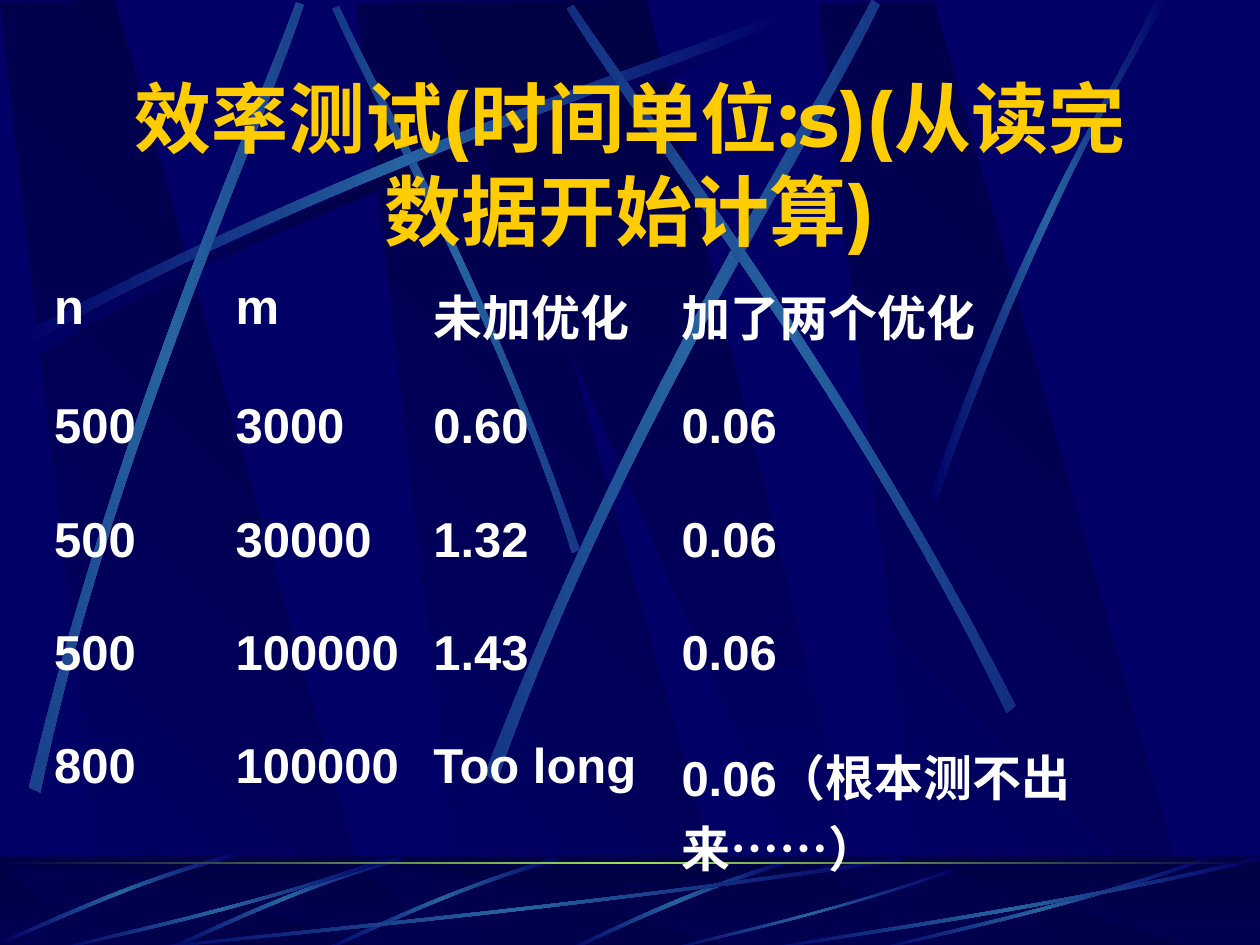
from math import cos, radians, sin

from lxml import etree
from pptx import Presentation
from pptx.dml.color import RGBColor
from pptx.enum.shapes import MSO_SHAPE
from pptx.enum.text import MSO_ANCHOR, PP_ALIGN
from pptx.oxml.ns import qn
from pptx.util import Cm, Pt

RECTANGLE = MSO_SHAPE.RECTANGLE
MIDDLE = MSO_ANCHOR.MIDDLE
CENTER = PP_ALIGN.CENTER
LEFT = PP_ALIGN.LEFT
NO_GRID_STYLE = "{2D5ABB26-0587-4C30-8999-92F81FD0307C}"
NAVY, DARK, BLUE, GREEN = "000066", "000044", "2663A0", "9CE157"
SHADE = (DARK, NAVY)
GLOW = (NAVY, BLUE, NAVY)
SHADOW_GLOW = (NAVY, DARK, NAVY)

BAND = [(0.86, 7.5), (3.02, 7.52), (0.91, 0), (0, 0.02)]
WEDGE = [(3.33, 0.01), (6.58, 7.51), (6.94, 7.51), (5.13, 0)]
FLOOR_BAND = [(0.86, 7.54), (3.02, 7.54), (0.91, 6.88), (0, 6.88)]
FLOOR_WEDGE = [(3.33, 6.88), (6.58, 7.54), (6.94, 7.54), (5.13, 6.88)]
BAND_OFFSETS = ((2.83, 0.01), (0, 0), (6.5, 0.01))

LONG_RAY = [(0.14, 2.67), (2.78, 1.25), (5.18, 0.51), (6.2, 0.1),
            (6.23, 0.16), (5.22, 0.61), (2.48, 1.43), (0.17, 2.77)]
TURNED_RAYS = [
    (45, [(4.6, 4.36), (3.91, 2.34), (3.02, 0.77), (2.69, 0.05),
          (2.64, 0.07), (2.95, 0.79), (3.98, 2.58), (4.54, 4.39)]),
    (311.7, [(0.23, 6.25), (0.93, 3.34), (1.97, 1.05), (2.35, 0.02),
             (2.41, 0.04), (2.07, 1.08), (0.86, 3.68), (0.32, 6.29)]),
    (321.6, [(3.85, 6.14), (4.98, 3.2), (6.38, 1.02), (6.92, 0),
             (6.98, 0.04), (6.49, 1.08), (4.86, 3.55), (3.94, 6.21)]),
    (34.8, [(8.06, 5.6), (6.7, 2.93), (5.16, 0.95), (4.55, 0.04),
            (4.5, 0.07), (5.07, 1.01), (6.85, 3.25), (7.99, 5.66)]),
]
RIGHT_RAY = [(7.38, 3.93), (8.14, 1.73), (8.88, 0.66), (9.17, 0),
             (9.27, 0), (8.36, 1.45), (7.69, 3.22), (7.44, 3.97)]
STEEP_RAY = [(6.27, 6.82), (5.37, 7.09), (4.77, 7.42), (4.48, 7.54),
             (4.53, 7.55), (4.9, 7.37), (5.71, 7), (6.28, 6.85)]
LOW_RAY = [(4.42, 6.8), (3.55, 7.05), (2.87, 7.4), (2.56, 7.53),
           (2.57, 7.55), (2.88, 7.43), (3.65, 7.03), (4.44, 6.83)]
LEFT_RAY = [(1.86, 6.77), (0.99, 7), (0.33, 7.34), (0.02, 7.46),
            (0.03, 7.48), (0.34, 7.37), (1.1, 6.98), (1.88, 6.8)]
FLAT_RAY = [(7.17, 6.83), (4.49, 7.23), (2.06, 7.44), (1.03, 7.55),
            (1, 7.54), (2.02, 7.41), (4.8, 7.18), (7.14, 6.8)]
SHORT_RAY = [(3.08, 6.83), (1.93, 7.23), (0.88, 7.44), (0.43, 7.55),
             (0.42, 7.54), (0.86, 7.41), (2.06, 7.18), (3.07, 6.8)]
NARROW_RAY = [(7.58, 6.91), (6.58, 7.26), (5.67, 7.45), (5.28, 7.55),
              (5.27, 7.54), (5.65, 7.43), (6.69, 7.22), (7.57, 6.89)]
CORNER_RAY = [(10, 6.83), (8.27, 7.23), (6.69, 7.44), (6.02, 7.55),
              (6, 7.54), (6.66, 7.41), (8.46, 7.18), (9.98, 6.8)]
FLOOR_RAYS = [(STEEP_RAY, 0, 0), (LOW_RAY, 0, 314.9), (LOW_RAY, -1.25, 314.9),
              (LEFT_RAY, 0, 314.9), (FLAT_RAY, 0, 0), (SHORT_RAY, 0, 0),
              (NARROW_RAY, 0, 0), (SHORT_RAY, 6.5, 0), (CORNER_RAY, 0, 0)]

COLUMN_WIDTHS = (1.44, 1.57, 1.97, 4.27)
ROW_HEIGHTS = (0.95, 0.9, 0.9, 0.9, 1.04)
RESULTS = [
    ("n", "m", "未加优化", "加了两个优化"),
    ("500", "3000", "0.60", "0.06"),
    ("500", "30000", "1.32", "0.06"),
    ("500", "100000", "1.43", "0.06"),
    ("800", "100000", "Too long", "0.06（根本测不出来……）"),
]


def length(inches):
    return Cm(inches * 2.54)


def color(value):
    return RGBColor.from_string(value)


def turn(point, degrees):
    x, y = point
    angle = radians(degrees)
    return x * cos(angle) - y * sin(angle), x * sin(angle) + y * cos(angle)


def write(frame, text, size=28, font="Arial", ink="FFFFFF", align=LEFT, before=0):
    para = frame.paragraphs[0]
    para.alignment = align
    para.space_before = Pt(before)
    span = para.add_run()
    span.text = text
    span.font.size = Pt(size)
    span.font.name = font
    span.font.bold = True
    span.font.color.rgb = color(ink)


class Painter:
    """Hold the current slide and draw styled elements on it."""

    def __init__(self, page):
        self.page = page
        page.background.fill.solid()
        page.background.fill.fore_color.rgb = color(NAVY)

    def paint(self, shape, colors, angle):
        shape.shadow.inherit = False
        shape.line.fill.background()
        shape.fill.gradient()
        shape.fill.gradient_angle = (360 - angle) % 360
        gradient = shape._element.spPr.find(qn("a:gradFill"))
        gradient.set("rotWithShape", "0")
        stops = gradient.find(qn("a:gsLst"))
        for stop in list(stops):
            stops.remove(stop)
        for index, value in enumerate(colors):
            position = 100000 * index // (len(colors) - 1)
            stop = etree.SubElement(stops, qn("a:gs"), pos=str(position))
            etree.SubElement(stop, qn("a:srgbClr"), val=value)

    def outline(self, points, colors, angle=0, shift=(0, 0)):
        corners = [(length(x + shift[0]), length(y + shift[1])) for x, y in points]
        builder = self.page.shapes.build_freeform(*corners[0])
        builder.add_line_segments(corners[1:], close=True)
        shape = builder.convert_to_shape()
        self.paint(shape, colors, angle)
        return shape

    def ray(self, points, colors=GLOW, shift=(0, 0), rotation=0):
        level = [turn((x + shift[0], y + shift[1]), -rotation) for x, y in points]
        shape = self.outline(level, colors)
        middle = (shape.left + shape.width / 2, shape.top + shape.height / 2)
        x, y = turn(middle, rotation)
        shape.left, shape.top = int(x - shape.width / 2), int(y - shape.height / 2)
        shape.rotation = rotation
        lines = list(shape._element.iter(qn("a:lnTo")))
        for group in (lines[:3], lines[4:]):
            bend = etree.Element(qn("a:cubicBezTo"))
            group[0].addprevious(bend)
            for line in group:
                bend.append(line[0])
                line.getparent().remove(line)

    def bar(self, top, height, colors, angle):
        shape = self.page.shapes.add_shape(
            RECTANGLE, 0, length(top), length(10), length(height))
        self.paint(shape, colors, angle)
        return shape

    def veil(self, top, height, value, opacity):
        shape = self.bar(top, height, SHADE, 0)
        shape.fill.solid()
        shape.fill.fore_color.rgb = color(value)
        tint = shape._element.spPr.find(".//" + qn("a:srgbClr"))
        etree.SubElement(tint, qn("a:alpha"), val=str(opacity * 1000))

    def title(self, text, left, top, width, height):
        box = self.page.shapes.add_textbox(*map(length, (left, top, width, height)))
        box.text_frame.word_wrap = True
        box.text_frame.vertical_anchor = MIDDLE
        write(box.text_frame, text, size=44, font="Montserrat", ink="FFCC00",
              align=CENTER)

    def table(self, rows, left, top):
        table = self.page.shapes.add_table(
            len(rows), len(rows[0]), length(left), length(top),
            length(sum(COLUMN_WIDTHS)), length(sum(ROW_HEIGHTS))).table
        table.first_row = table.horz_banding = False
        table._tbl.tblPr.find(qn("a:tableStyleId")).text = NO_GRID_STYLE
        for column, width in zip(table.columns, COLUMN_WIDTHS):
            column.width = length(width)
        for row, height, texts in zip(table.rows, ROW_HEIGHTS, rows):
            row.height = length(height)
            for cell, text in zip(row.cells, texts):
                cell.fill.background()
                write(cell.text_frame, text, before=7)


def main():
    deck = Presentation()
    deck.slide_width, deck.slide_height = length(10), length(7.5)
    painter = Painter(deck.slides.add_slide(deck.slide_layouts[6]))

    for offset in BAND_OFFSETS:
        painter.outline(BAND, SHADE, 135, offset)
    painter.outline(WEDGE, SHADE, 90)
    painter.ray(LONG_RAY, SHADOW_GLOW, (0.06, 0.08))
    for rotation, points in TURNED_RAYS[:1] + [(0, LONG_RAY)] + TURNED_RAYS[1:]:
        painter.ray(points, rotation=rotation)
    painter.ray(RIGHT_RAY)

    painter.bar(6.8, 0.75, SHADE, 90)
    for across, _ in BAND_OFFSETS:
        painter.outline(FLOOR_BAND, SHADE, 135, (across, 0))
    painter.outline(FLOOR_WEDGE, SHADE, 90)
    painter.veil(6.79, 0.75, DARK, 50)
    for points, across, rotation in FLOOR_RAYS:
        painter.ray(points, shift=(across, 0), rotation=rotation)
    painter.bar(6.84, 0.02, (DARK, GREEN, DARK), 0)

    painter.title("效率测试(时间单位:s)(从读完数据开始计算)", 0.75, 0.51, 8.5, 1.57)
    painter.table(RESULTS, 0.33, 2.17)
    deck.save("out.pptx")


if __name__ == "__main__":
    main()
